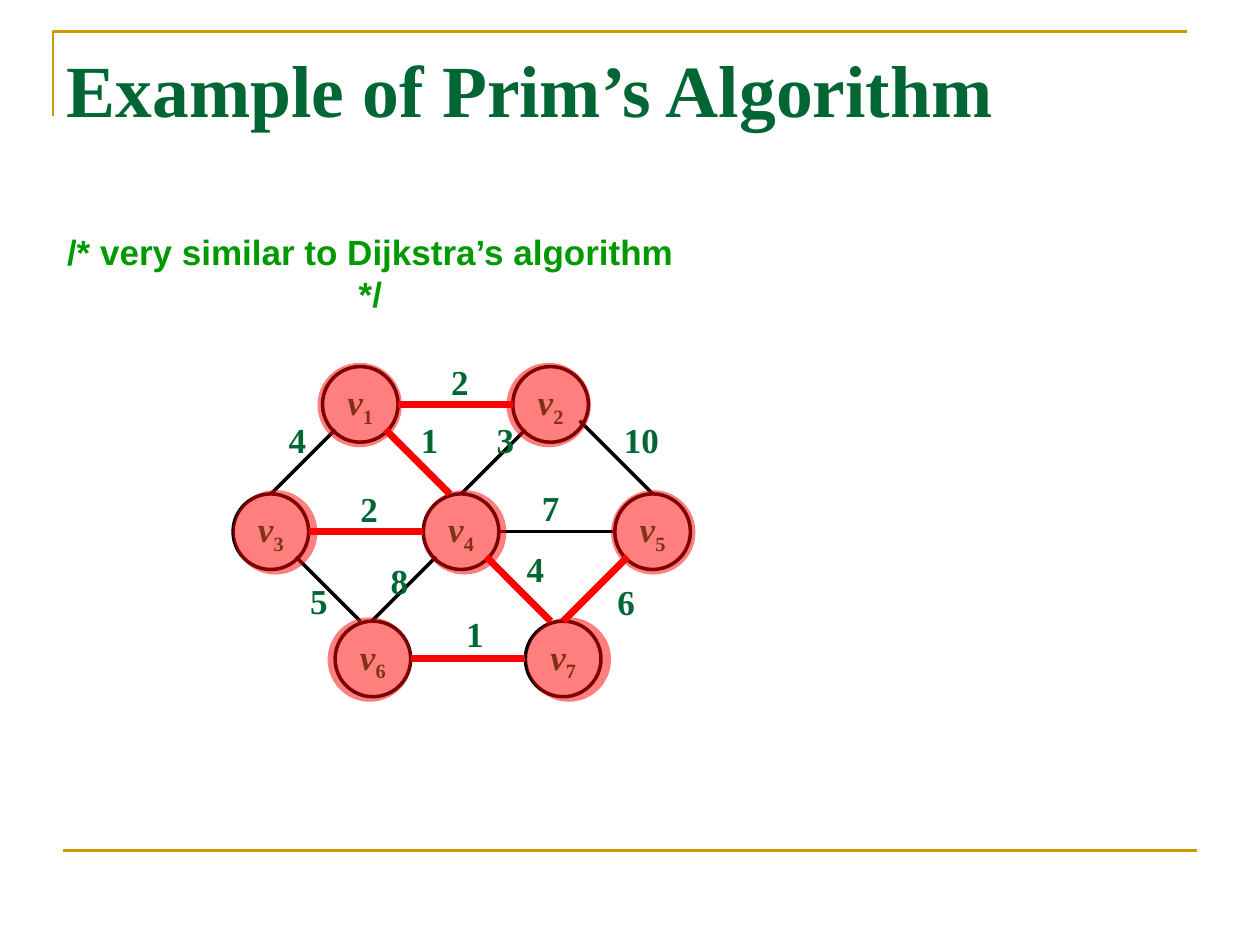
from lxml import etree
from pptx import Presentation
from pptx import util as u
from pptx.dml.color import RGBColor
from pptx.enum import shapes, text
from pptx.oxml import ns

GOLD, GREEN, COMMENT_GREEN = "CC9900", "006633", "009900"
BLACK, RED = "000000", "FF0000"
SERIF, SANS = "Times New Roman", "Arial"
RADIUS = 0.3
HALO_SIZE = 0.67

# Vertex number: centre x, centre y, left edge of its halo
VERTICES = {
    1: (2.86, 3.21, 2.52), 2: (4.37, 3.21, 4.02),
    3: (2.15, 4.22, 1.85), 4: (3.66, 4.22, 3.35), 5: (5.18, 4.22, 4.85),
    6: (2.96, 5.23, 2.6), 7: (4.47, 5.23, 4.18),
}
# Edge: weight, left and top of its label
EDGES = {
    (1, 2): ("2", 3.41, 2.81), (1, 3): ("4", 2.12, 3.27),
    (3, 4): ("2", 2.69, 3.82), (1, 4): ("1", 3.17, 3.27),
    (2, 4): ("3", 3.77, 3.27), (2, 5): ("10", 4.73, 3.27),
    (4, 5): ("7", 4.13, 3.81), (3, 6): ("5", 2.29, 4.55),
    (4, 6): ("8", 2.93, 4.39), (4, 7): ("4", 4.01, 4.3),
    (5, 7): ("6", 4.73, 4.56), (6, 7): ("1", 3.53, 4.81),
}
# Tree edges in drawing order, each with the vertex it adds
TREE = [((1, 4), 4), ((1, 2), 2), ((3, 4), 3),
        ((4, 7), 7), ((6, 7), 6), ((5, 7), 5)]


def color(value):
    return RGBColor.from_string(value)


def add_run(paragraph, content, size, font_name, ink, italic=False):
    run = paragraph.add_run()
    run.text = content
    run.font.size = u.Pt(size)
    run.font.name = font_name
    run.font.bold = True
    run.font.italic = italic
    run.font.color.rgb = color(ink)
    return run


def add_text(slide, content, left, top, width, font_name, ink):
    box = slide.shapes.add_textbox(*map(u.Inches, (left, top, width, 0.43)))
    box.text_frame.word_wrap = True
    paragraph = box.text_frame.paragraphs[0]
    paragraph.alignment = text.PP_ALIGN.CENTER
    add_run(paragraph, content, 20, font_name, ink)


def add_line(slide, start, end, ink, width):
    line = slide.shapes.add_connector(
        shapes.MSO_CONNECTOR.STRAIGHT, *map(u.Inches, (*start, *end)))
    line.line.color.rgb = color(ink)
    line.line.width = u.Pt(width)
    etree.SubElement(line._element.spPr, ns.qn("a:effectLst"))


def add_circle(slide, left, top, size):
    circle = slide.shapes.add_shape(
        shapes.MSO_SHAPE.OVAL, *map(u.Inches, (left, top, size, size)))
    circle.shadow.inherit = False
    return circle


def add_vertex(slide, number):
    x, y, _ = VERTICES[number]
    circle = add_circle(slide, x - RADIUS, y - RADIUS, 2 * RADIUS)
    circle.fill.background()
    circle.line.color.rgb = color(BLACK)
    circle.line.width = u.Pt(2)
    frame = circle.text_frame
    frame.word_wrap = False
    frame.vertical_anchor = text.MSO_ANCHOR.MIDDLE
    paragraph = frame.paragraphs[0]
    paragraph.alignment = text.PP_ALIGN.CENTER
    add_run(paragraph, "v", 20, SERIF, GREEN, italic=True)
    subscript = add_run(paragraph, str(number), 20, SERIF, GREEN)
    subscript.font._element.set("baseline", "-25000")


def add_halo(slide, number):
    _, y, left = VERTICES[number]
    halo = add_circle(slide, left, y - 0.33, HALO_SIZE)
    halo.fill.solid()
    halo.fill.fore_color.rgb = color(RED)
    halo.line.fill.background()
    fill_color = halo._element.spPr.find(".//" + ns.qn("a:srgbClr"))
    etree.SubElement(fill_color, ns.qn("a:alpha"), val="50000")


def add_edge(slide, edge, ink, width):
    """Join side to side within a row, or lower rim to top between rows."""
    (x1, y1, _), (x2, y2, _) = (VERTICES[number] for number in edge)
    if y1 == y2:
        start, end = (x1 + RADIUS, y1), (x2 - RADIUS, y2)
    else:
        direction = 1 if x2 > x1 else -1
        across, down = (0.23, 0.13) if edge == (2, 5) else (0.2, 0.2)
        start = (x1 + direction * across, y1 + down)
        rise = y2 - RADIUS - start[1]
        end = (start[0] + direction * rise, y2 - RADIUS)
    add_line(slide, start, end, ink, width)


def add_frame(slide):
    builder = slide.shapes.build_freeform(
        u.Inches(0.42), u.Inches(0.92), scale=1.0)
    corners = [(0.42, 0.25), (9.42, 0.25)]
    builder.add_line_segments(
        [(u.Inches(x), u.Inches(y)) for x, y in corners], close=False)
    frame = builder.convert_to_shape()
    frame.shadow.inherit = False
    frame.fill.background()
    frame.line.color.rgb = color(GOLD)
    frame.line.width = u.Pt(1.5)
    add_line(slide, (0.5, 6.75), (9.5, 6.75), GOLD, 1.5)


def set_title(slide, content):
    title = slide.shapes.title
    title.left, title.top = u.Inches(0.43), u.Inches(0.3)
    title.width, title.height = u.Inches(8.39), u.Inches(1.14)
    title.text_frame.vertical_anchor = text.MSO_ANCHOR.TOP
    paragraph = title.text_frame.paragraphs[0]
    paragraph.alignment = text.PP_ALIGN.LEFT
    add_run(paragraph, content, 42, SERIF, GREEN)


def main():
    presentation = Presentation()
    presentation.slide_width = u.Inches(10)
    presentation.slide_height = u.Inches(7.5)
    slide = presentation.slides.add_slide(presentation.slide_layouts[5])
    set_title(slide, "Example of Prim’s Algorithm")
    add_frame(slide)
    add_text(slide, "/* very similar to Dijkstra’s algorithm */",
             0.42, 1.78, 5.04, SANS, COMMENT_GREEN)

    for number in VERTICES:
        add_vertex(slide, number)
    for edge in EDGES:
        add_edge(slide, edge, BLACK, 2)
    for weight, left, top in EDGES.values():
        width = 0.48 if len(weight) == 1 else 0.72
        add_text(slide, weight, left, top, width, SERIF, GREEN)

    add_halo(slide, 1)
    for edge, added_vertex in TREE:
        add_edge(slide, edge, RED, 4)
        add_halo(slide, added_vertex)
    presentation.save("out.pptx")


if __name__ == "__main__":
    main()
